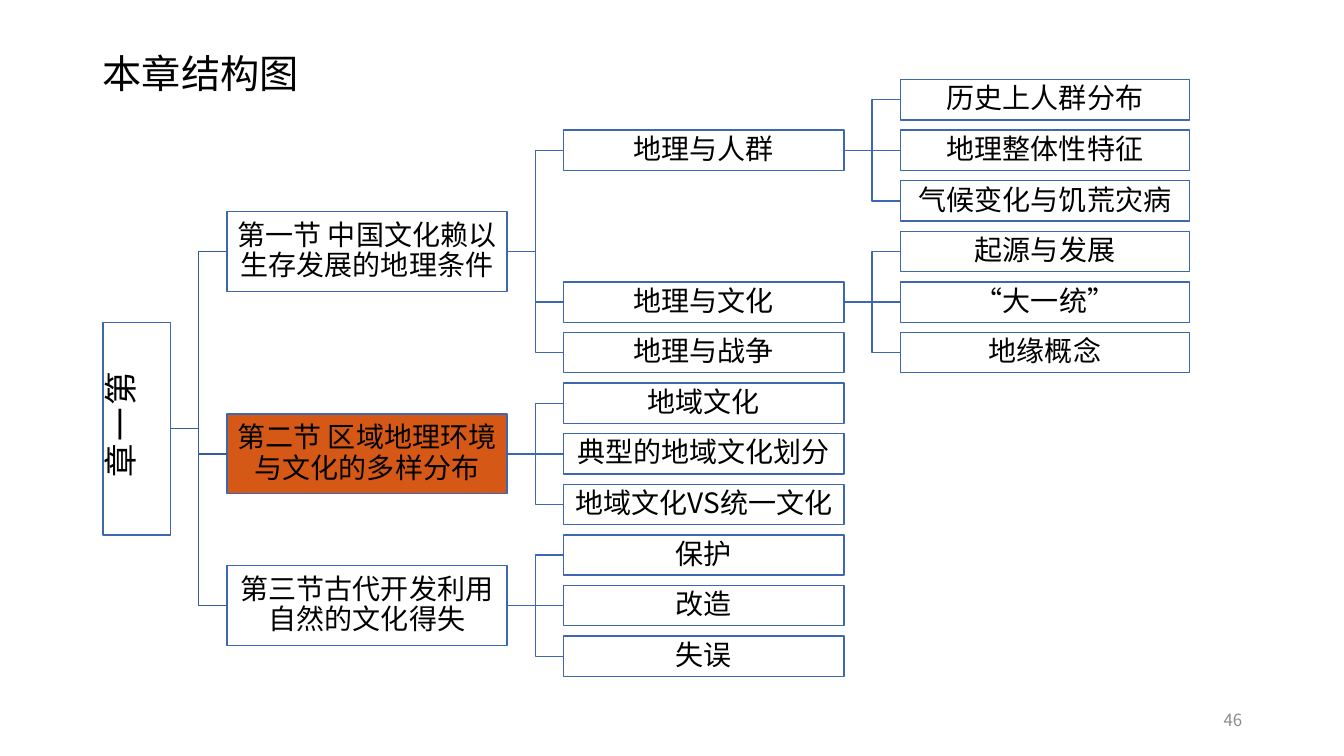
from dataclasses import dataclass
from lxml import etree
from pptx import Presentation
from pptx import util as u
from pptx.dml.color import RGBColor
from pptx.enum import shapes, text
from pptx.oxml import ns


@dataclass(frozen=True)
class Theme:
    """Colours, font and type sizes of the slide."""
    face: str = "Noto Sans CJK SC"
    ink: str = "000000"
    grey: str = "8C8C8C"
    paper: str = "FFFFFF"
    mark: str = "D55816"
    edge: str = "3E67B2"
    trunk: str = "365B9D"
    title: int = 28
    root: int = 24
    node: int = 20
    note: int = 12


THEME = Theme()
WIDTHS = (0.67, 2.78, 2.78, 2.87)
GAP = 0.56
ROWS = 12
HEIGHTS = (2.11, 0.79, 0.4, 0.4)
MARKED = "第二节 区域地理环境与文化的多样分布"
TREE = ("第一章", [
    ("第一节 中国文化赖以生存发展的地理条件", [
        ("地理与人群", [
            ("历史上人群分布", []),
            ("地理整体性特征", []),
            ("气候变化与饥荒灾病", []),
        ]),
        ("地理与文化", [
            ("起源与发展", []),
            ("“大一统”", []),
            ("地缘概念", []),
        ]),
        ("地理与战争", []),
    ]),
    (MARKED, [
        ("地域文化", []),
        ("典型的地域文化划分", []),
        ("地域文化VS统一文化", []),
    ]),
    ("第三节古代开发利用自然的文化得失", [
        ("保护", []),
        ("改造", []),
        ("失误", []),
    ]),
])


def apply(item, form):
    """Set each attribute in form on item."""
    for key, value in form.items():
        setattr(item, key, value)


def write(shape, words, size, tint, align, frame=None):
    """Put one formatted paragraph into a shape."""
    body = shape.text_frame
    apply(body, {"word_wrap": True, "auto_size": text.MSO_AUTO_SIZE.NONE,
                 "vertical_anchor": text.MSO_ANCHOR.MIDDLE, **(frame or {})})
    para = body.paragraphs[0]
    apply(para, {"alignment": align, "line_spacing": 0.9})
    run = para.add_run()
    run.text = words
    apply(run.font, {"name": THEME.face, "size": u.Pt(size)})
    run.font.color.rgb = RGBColor.from_string(tint)
    east = etree.SubElement(run.font._element, ns.qn("a:ea"))
    east.set("typeface", THEME.face)


def head(slide, left, top, wide, high):
    """Place the title in its box."""
    shape = slide.shapes.title
    apply(shape, {"left": u.Inches(left), "top": u.Inches(top),
                  "width": u.Inches(wide), "height": u.Inches(high)})
    write(shape, "本章结构图", THEME.title, THEME.ink, text.PP_ALIGN.LEFT)


def foot(slide, left, top, wide, high):
    """Place the page number in its box."""
    shape = slide.shapes.add_textbox(*map(u.Inches, (left, top, wide, high)))
    write(shape, "46", THEME.note, THEME.grey, text.PP_ALIGN.RIGHT)


def node(slide, words, level, left, mid):
    """Draw one box of the tree, centred on the height mid."""
    wide, high = WIDTHS[level], HEIGHTS[level]
    turned = level == 0
    across, down = (high, wide) if turned else (wide, high)
    shape = slide.shapes.add_shape(
        shapes.MSO_SHAPE.RECTANGLE,
        u.Inches(left + (wide - across) / 2), u.Inches(mid - down / 2),
        u.Inches(across), u.Inches(down))
    shape.shadow.inherit = False
    shape.fill.solid()
    fill = THEME.mark if words == MARKED else THEME.paper
    shape.fill.fore_color.rgb = RGBColor.from_string(fill)
    shape.line.color.rgb = RGBColor.from_string(THEME.edge)
    shape.line.width = u.Pt(1)
    sides = ("margin_left", "margin_top", "margin_right", "margin_bottom")
    write(shape, words, THEME.root if turned else THEME.node, THEME.ink,
          text.PP_ALIGN.CENTER, dict.fromkeys(sides, u.Inches(0.01)))
    if turned:
        shape.rotation = 270
        shape.text_frame._txBody.bodyPr.set("vert", "eaVert")


def link(slide, start, end, tint):
    """Join two points by a straight or elbow line."""
    level = abs(start[1] - end[1]) < 0.01
    kind = shapes.MSO_CONNECTOR
    line = slide.shapes.add_connector(
        kind.STRAIGHT if level else kind.ELBOW,
        *map(u.Inches, (*start, *end)))
    line.line.color.rgb = RGBColor.from_string(tint)
    line.line.width = u.Pt(1)
    etree.SubElement(line._element.spPr, ns.qn("a:effectLst"))


def tree(slide, left, top, high):
    """Draw the tree; a leaf takes its column's next row, a parent the middle."""
    lefts = [left + sum(WIDTHS[:n]) + GAP * n for n in range(len(WIDTHS))]
    slot = HEIGHTS[-1]
    pitch = (high - slot) / (ROWS - 1)
    last = [-1] * len(WIDTHS)

    def grow(branch, level):
        """Draw a branch and return its row."""
        words, kids = branch
        rows = [grow(kid, level + 1) for kid in kids]
        row = (rows[0] + rows[-1]) / 2 if rows else last[level] + 1
        last[level] = row
        mid = top + slot / 2 + row * pitch
        tint = THEME.edge if level else THEME.trunk
        for kid in rows:
            link(slide, (lefts[level] + WIDTHS[level], mid),
                 (lefts[level + 1], top + slot / 2 + kid * pitch), tint)
        node(slide, words, level, lefts[level], mid)
        return row

    grow(TREE, 0)


def main():
    """Build and save the slide."""
    deck = Presentation()
    apply(deck, {"slide_width": u.Inches(13.33),
                 "slide_height": u.Inches(7.5)})
    slide = deck.slides.add_slide(deck.slide_layouts[5])
    head(slide, 0.92, 0.4, 3.29, 0.71)
    foot(slide, 9.42, 6.95, 3, 0.4)
    tree(slide, 1.02, 0.79, 5.92)
    deck.save("out.pptx")


if __name__ == "__main__":
    main()
